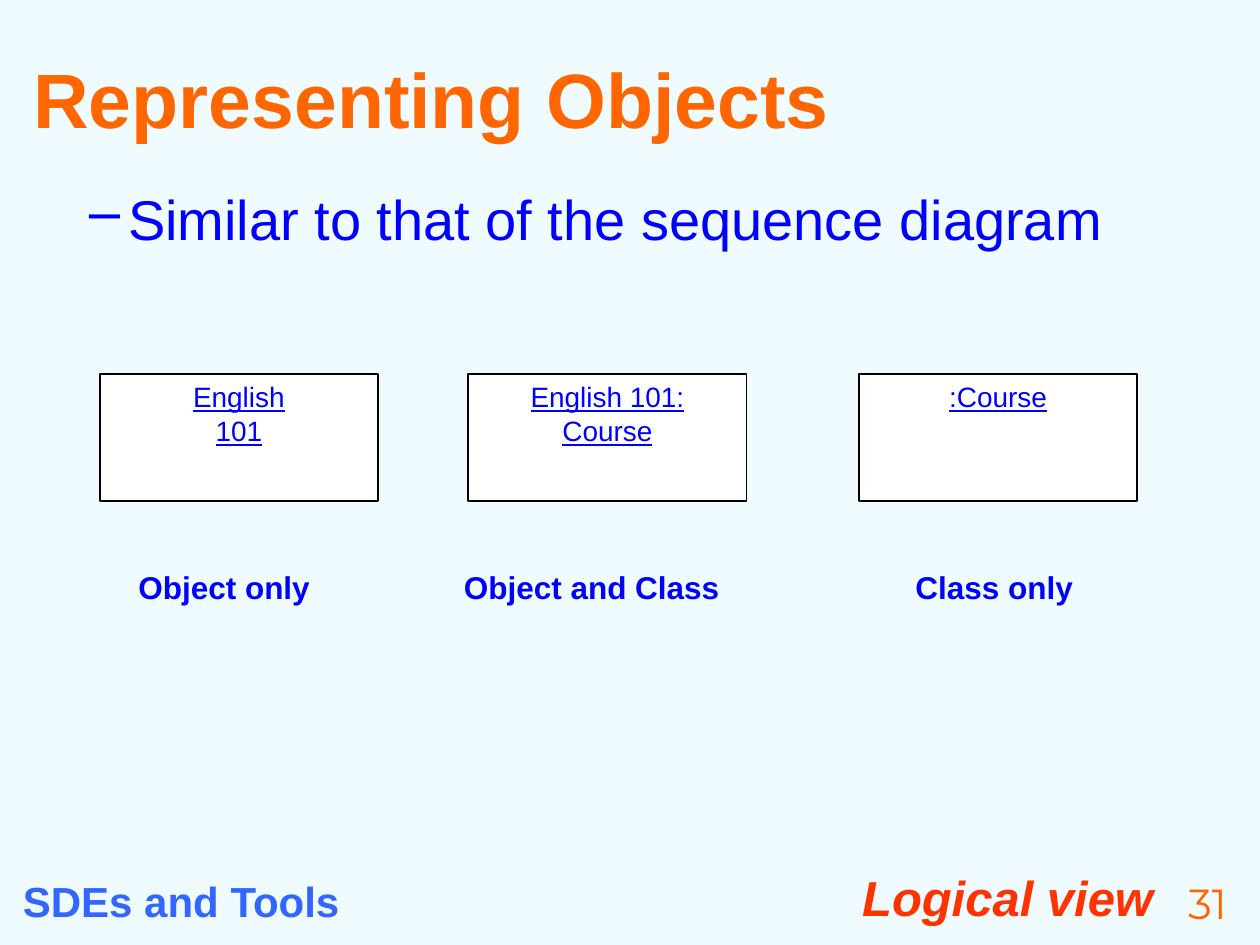
from pptx import Presentation
from pptx.dml.color import RGBColor
from pptx.enum.shapes import MSO_SHAPE
from pptx.enum.text import MSO_ANCHOR, PP_ALIGN
from pptx.oxml.ns import qn
from pptx.util import Inches, Pt
from lxml.etree import SubElement

WIDE, HIGH = Inches(10), Inches(7.5)
COLS, ROWS = 120, 90
HUES = {
    "back": "EFFBFF",
    "blue": "0000FF",
    "sky": "3366FF",
    "orange": "FF6600",
    "red": "FF3300",
    "white": "FFFFFF",
    "black": "000000",
}
CARDS = [
    (9.5, ["English", "101"], 12, 21, "Object only"),
    (44.6, ["English 101:", "Course"], 43, 32, "Object and Class"),
    (81.8, [":Course"], 86, 21, "Class only"),
]


def hue(name):
    return RGBColor.from_string(HUES[name])


def area(col, row, cols, rows):
    return (round(WIDE * col / COLS), round(HIGH * row / ROWS),
            round(WIDE * cols / COLS), round(HIGH * rows / ROWS))


def style(para, size, tint, face="Arial", bold=False, slant=False, line=False):
    font = para.font
    font.name, font.size = face, Pt(size)
    font.bold, font.italic, font.underline = bold, slant, line
    font.color.rgb = hue(tint)


def add_text(slide, box, text, size, tint, align=PP_ALIGN.LEFT,
             anchor=MSO_ANCHOR.TOP, **look):
    frame = slide.shapes.add_textbox(*area(*box)).text_frame
    frame.word_wrap = True
    frame.vertical_anchor = anchor
    para = frame.paragraphs[0]
    para.text, para.alignment = text, align
    style(para, size, tint, **look)
    return para


def add_point(slide, box, text, size, tint):
    para = add_text(slide, box, text, size, tint)
    props = para._p.get_or_add_pPr()
    props.set("marL", str(Inches(0.81)))
    props.set("indent", str(Inches(-0.31)))
    mark = SubElement(props, qn("a:buChar"))
    mark.set("char", "–")
    props.remove(mark)
    props.insert(0, mark)


def add_card(slide, box, lines):
    card = slide.shapes.add_shape(MSO_SHAPE.RECTANGLE, *area(*box))
    card.shadow.inherit = False
    card.fill.solid()
    card.fill.fore_color.rgb = hue("white")
    card.line.color.rgb = hue("black")
    card.line.width = Pt(1)
    frame = card.text_frame
    frame.word_wrap = False
    frame.vertical_anchor = MSO_ANCHOR.TOP
    frame.text = "\n".join(lines)
    for para in frame.paragraphs:
        para.alignment = PP_ALIGN.CENTER
        style(para, 16, "blue", line=True)


def main():
    deck = Presentation()
    deck.slide_width, deck.slide_height = WIDE, HIGH
    slide = deck.slides.add_slide(deck.slide_layouts[6])
    slide.background.fill.solid()
    slide.background.fill.fore_color.rgb = hue("back")

    add_text(slide, (45, 82, 66, 6.25), "Logical view", 28, "red",
             PP_ALIGN.RIGHT, bold=True, slant=True)
    add_text(slide, (1, 82.8, 57, 5.3), "SDEs and Tools", 24, "sky", bold=True)
    add_text(slide, (111, 83, 8, 5.3), "31", 24, "orange",
             PP_ALIGN.CENTER, face="Montserrat")
    add_text(slide, (2, 3.6, 116.9, 11.4), "Representing Objects", 44,
             "orange", anchor=MSO_ANCHOR.MIDDLE, bold=True)
    add_point(slide, (1.3, 17, 116.3, 64),
              "Similar to that of the sequence diagram", 32, "blue")
    for left, lines, col, cols, label in CARDS:
        add_card(slide, (left, 35.6, 26.5, 12.1), lines)
        add_text(slide, (col, 53.5, cols, 4.8), label, 18, "blue", bold=True)

    deck.save("out.pptx")


if __name__ == "__main__":
    main()
